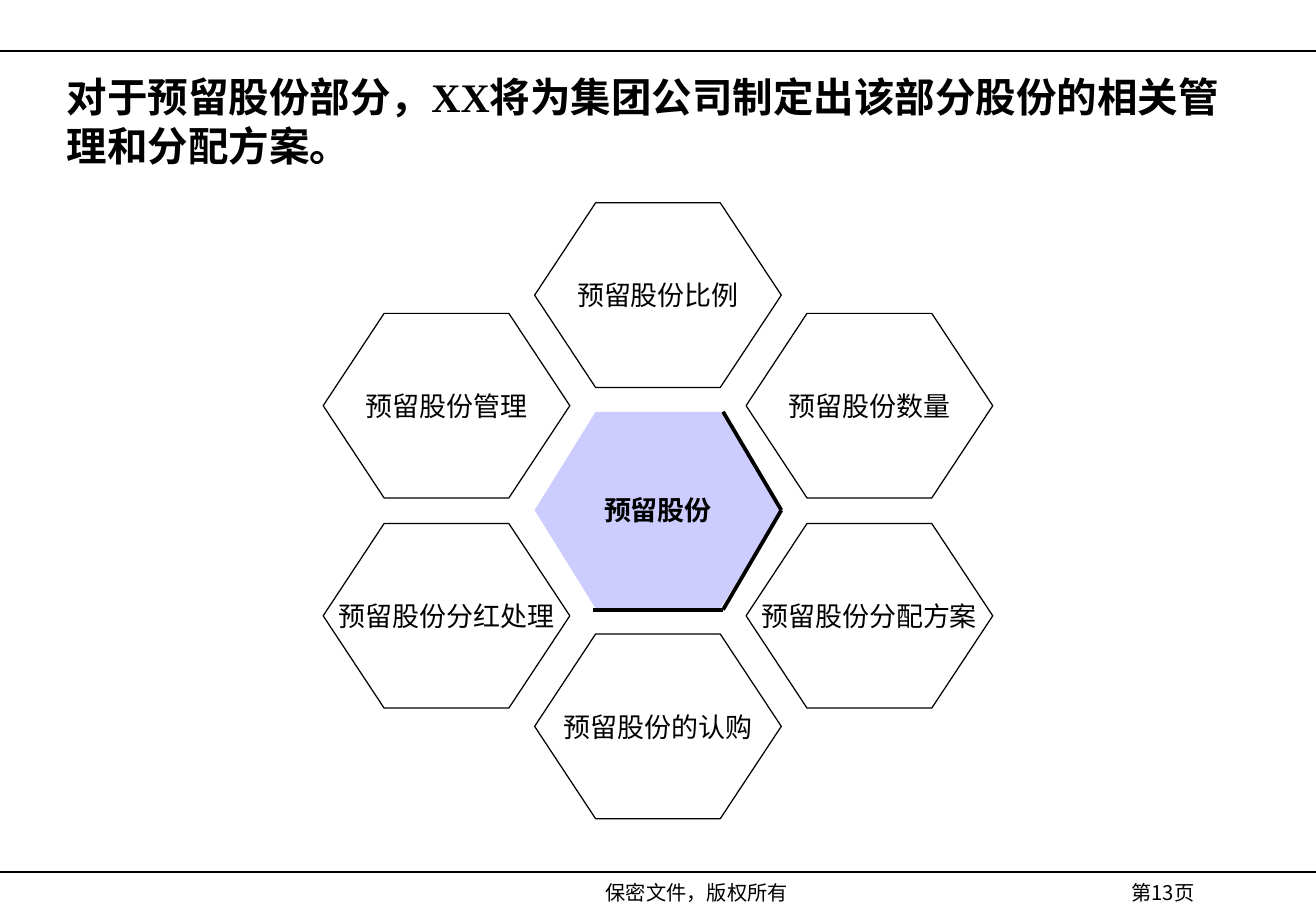
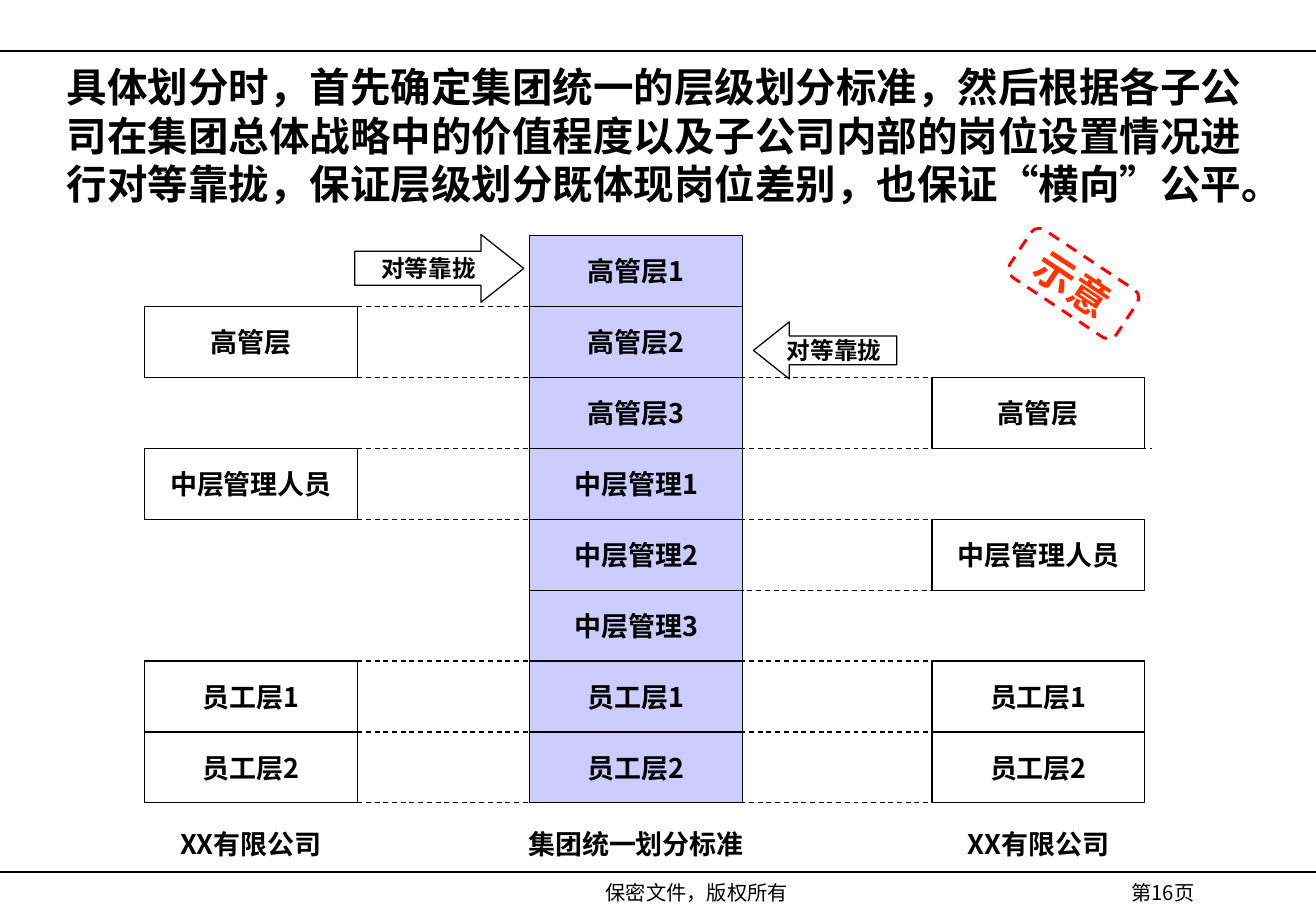
"""Build two slides on reserved shares and the grouping of job levels."""
from lxml.etree import SubElement
from pptx import Presentation
from pptx.dml.color import RGBColor
from pptx.enum.dml import MSO_LINE
from pptx.enum.shapes import MSO_CONNECTOR, MSO_SHAPE
from pptx.enum.text import MSO_ANCHOR, MSO_AUTO_SIZE, PP_ALIGN
from pptx.oxml.ns import qn
from pptx.util import Inches, Pt

COLORS = {"ink": "000000", "lavender": "CCCCFF", "stamp_line": "FF0000", "stamp_text": "FF3300"}
SERIF = "Times New Roman"
CHINESE = "Noto Sans CJK SC"


def add_text(slide, text, box, kind=None, size=16, bold=False, font=CHINESE, color="ink",
             align=PP_ALIGN.CENTER, spacing=None, wrap=False, fill=None, line="ink", adjust=None):
    """Add a text box, a preset shape or the title, with formatted text."""
    left, top, width, height = [Inches(length) for length in box]
    if kind == "title":
        shape = slide.shapes.title
        shape.left, shape.top, shape.width, shape.height = left, top, width, height
    elif kind is None:
        shape = slide.shapes.add_textbox(left, top, width, height)
    else:
        shape = slide.shapes.add_shape(kind, left, top, width, height)
        shape.shadow.inherit = False
        if fill:
            shape.fill.solid()
            shape.fill.fore_color.rgb = RGBColor.from_string(COLORS[fill])
        else:
            shape.fill.background()
        if line:
            shape.line.color.rgb = RGBColor.from_string(COLORS[line])
            shape.line.width = Pt(0.75)
        else:
            shape.line.fill.background()
        if adjust:
            shape.adjustments[len(shape.adjustments) - 1 if kind != MSO_SHAPE.HEXAGON else 0] = adjust
    frame = shape.text_frame
    frame.word_wrap = wrap
    frame.auto_size = MSO_AUTO_SIZE.NONE
    frame.vertical_anchor = MSO_ANCHOR.MIDDLE
    paragraph = frame.paragraphs[0]
    paragraph.alignment = align
    if spacing:
        paragraph.line_spacing = Pt(spacing)
    run = paragraph.add_run()
    run.text = text
    run.font.size = Pt(size)
    run.font.bold = bold
    run.font.name = font
    run.font.color.rgb = RGBColor.from_string(COLORS[color])
    SubElement(run.font._element, qn("a:ea"), typeface=CHINESE)
    return shape


def add_line(slide, start, end, width=0.75, dash=None):
    """Add a straight black line without a shadow."""
    points = [Inches(length) for length in (*start, *end)]
    connector = slide.shapes.add_connector(MSO_CONNECTOR.STRAIGHT, *points)
    connector.line.color.rgb = RGBColor.from_string(COLORS["ink"])
    connector.line.width = Pt(width)
    if dash:
        connector.line.dash_style = dash
    SubElement(connector._element.spPr, qn("a:effectLst"))


presentation = Presentation()
presentation.slide_width = Inches(10.83)
presentation.slide_height = Inches(7.5)

pages = [
    ("第13页", 0.95, "对于预留股份部分，XX将为集团公司制定出该部分股份的相关管理和分配方案。"),
    ("第16页", 1.18, "具体划分时，首先确定集团统一的层级划分标准，然后根据各子公司在集团总体战略中的"
     "价值程度以及子公司内部的岗位设置情况进行对等靠拢，保证层级划分既体现岗位差别，也保证“横向”公平。"),
]
for page_number, title_height, title in pages:
    slide = presentation.slides.add_slide(presentation.slide_layouts[5])
    add_text(slide, title, (0.45, 0.52, 9.92, title_height), "title", size=24, bold=True,
             font=SERIF, align=PP_ALIGN.LEFT, spacing=28.8, wrap=True)
    for rule_top in (0.42, 7.18):
        add_line(slide, (0, rule_top), (10.83, rule_top))
    add_text(slide, page_number, (8.76, 7.2, 1.62, 0.3), size=12, wrap=True)
    add_text(slide, "保密文件，版权所有", (2.8, 7.2, 5.87, 0.3), size=12, font=SERIF, wrap=True)

shares_slide, levels_slide = presentation.slides

add_text(shares_slide, "预留股份", (4.4, 3.39, 2.03, 1.62), MSO_SHAPE.HEXAGON, bold=True,
         font=SERIF, fill="lavender", line=None, adjust=0.31)
topics = [
    ("预留股份比例", 4.4, 1.67),
    ("预留股份数量", 6.14, 2.58),
    ("预留股份分配方案", 6.14, 4.31),
    ("预留股份的认购", 4.4, 5.22),
    ("预留股份分红处理", 2.66, 4.31),
    ("预留股份管理", 2.66, 2.58),
]
for topic, left, top in topics:
    add_text(shares_slide, topic, (left, top, 2.03, 1.52), MSO_SHAPE.HEXAGON, font=SERIF, adjust=0.33)
edge_points = [(4.88, 5.02), (5.95, 5.02), (6.43, 4.2), (5.95, 3.39)]
for start, end in zip(edge_points, edge_points[1:]):
    add_line(shares_slide, start, end, width=2.25)

grid_top, row_height, box_width = 1.94, 4.67 / 8, 1.75
left_column, group_column, right_column = 1.19, 4.36, 7.67
group_levels = ["高管层1", "高管层2", "高管层3", "中层管理1", "中层管理2", "中层管理3", "员工层1", "员工层2"]
company_levels = ["高管层", "中层管理人员", "员工层1", "员工层2"]
columns = [
    (left_column, "XX有限公司", None, zip((1, 3, 6, 7), company_levels)),
    (group_column, "集团统一划分标准", "lavender", enumerate(group_levels)),
    (right_column, "XX有限公司", None, zip((2, 4, 6, 7), company_levels)),
]
for column, caption, fill, levels in columns:
    for row, level in levels:
        add_text(levels_slide, level, (column, grid_top + row * row_height, box_width, row_height),
                 MSO_SHAPE.RECTANGLE, bold=True, fill=fill)
    add_text(levels_slide, caption, (column - 0.21, 6.76, 2.17, 0.37), bold=True, wrap=True)

left_edge = left_column + box_width
guides = [
    (1, left_edge, group_column),
    (2, left_edge, right_column),
    (3, left_edge, 9.48),
    (4, left_edge, right_column),
    (5, group_column, 7.83),
    (6, left_edge, right_column),
    (7, left_edge, right_column),
    (8, left_edge, right_column),
]
for row, start, end in guides:
    guide_top = grid_top + row * row_height
    add_line(levels_slide, (start, guide_top), (end, guide_top), dash=MSO_LINE.DASH)

arrows = [
    (MSO_SHAPE.RIGHT_ARROW, (2.92, 1.93, 1.39, 0.56)),
    (MSO_SHAPE.LEFT_ARROW, (6.2, 2.65, 1.18, 0.47)),
]
for kind, box in arrows:
    add_text(levels_slide, "对等靠拢", box, kind, size=14, bold=True, adjust=0.63)

stamp = add_text(levels_slide, "示意", (8.31, 2.1, 1.05, 0.47), MSO_SHAPE.FLOWCHART_ALTERNATE_PROCESS,
                 size=24, bold=True, font="Arial", color="stamp_text", line="stamp_line")
stamp.line.width = Pt(1.75)
stamp.line.dash_style = MSO_LINE.DASH
stamp.rotation = 33.6

presentation.save("out.pptx")
